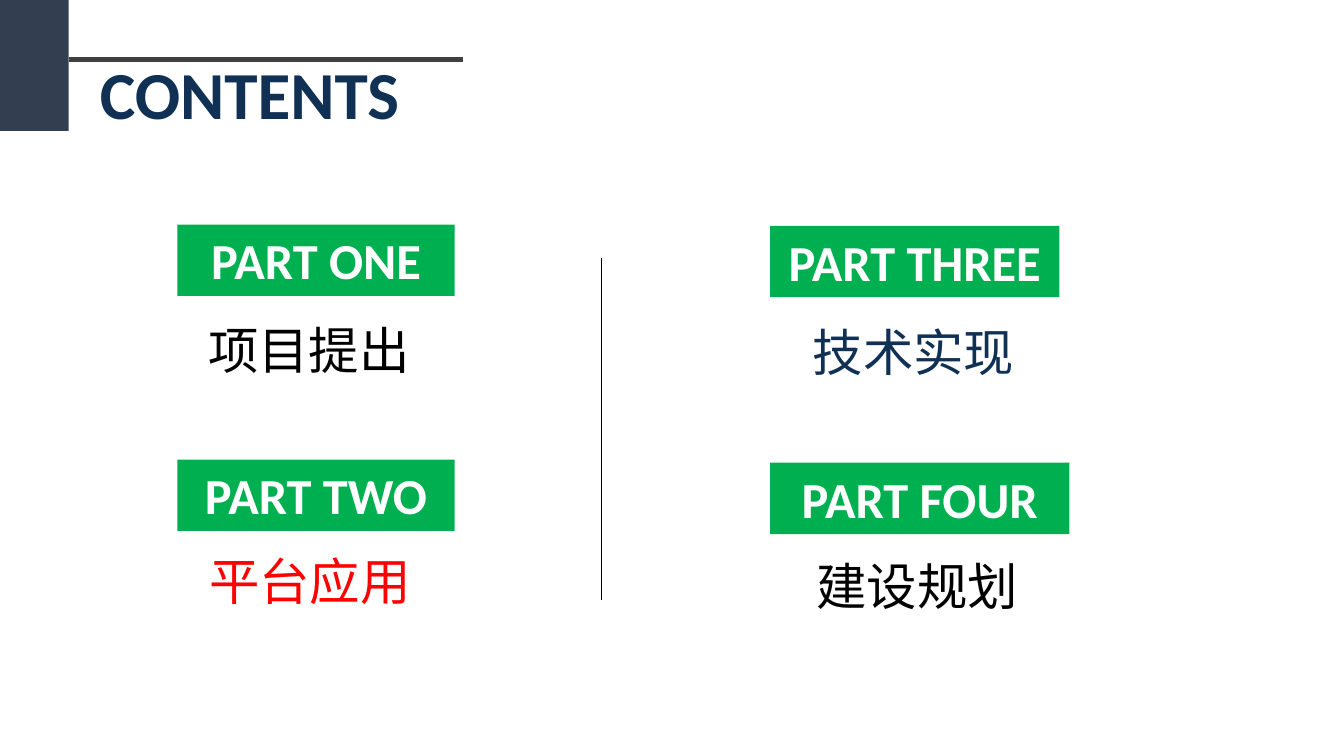
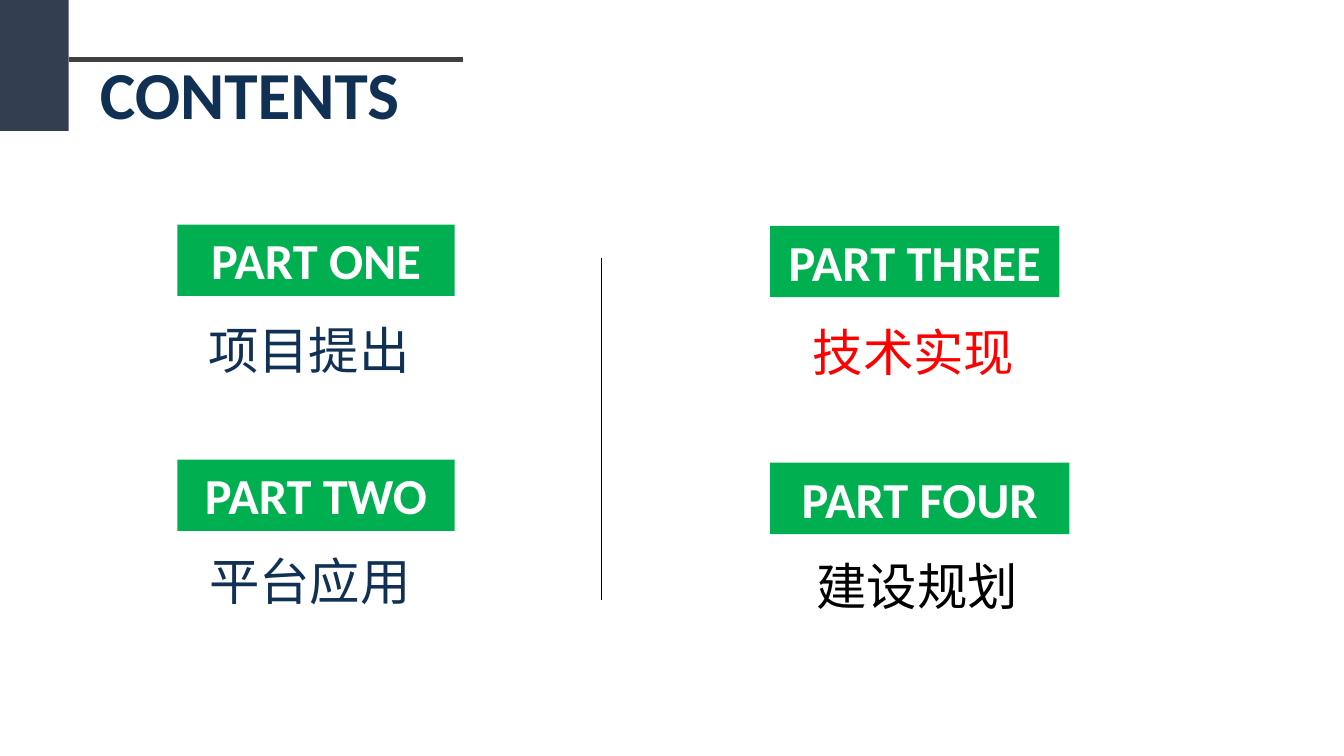
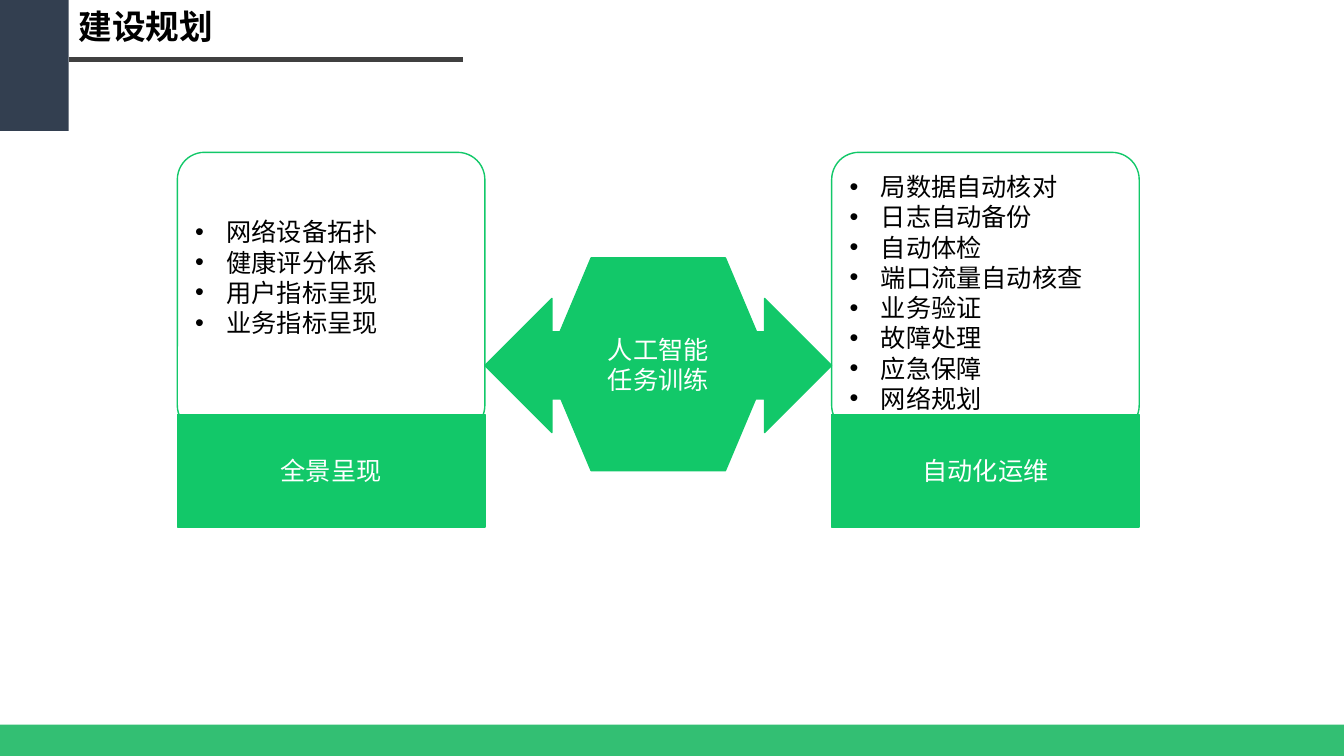
import pptx
import pptx.dml.color
import pptx.enum.shapes
import pptx.enum.text
import pptx.oxml.ns
import pptx.util
from lxml import etree

Cm = pptx.util.Cm
Pt = pptx.util.Pt
RGBColor = pptx.dml.color.RGBColor
SHAPE = pptx.enum.shapes.MSO_SHAPE
STRAIGHT = pptx.enum.shapes.MSO_CONNECTOR.STRAIGHT
ALIGN = pptx.enum.text.PP_ALIGN
ANCHOR = pptx.enum.text.MSO_ANCHOR
AUTO_SIZE = pptx.enum.text.MSO_AUTO_SIZE
qn = pptx.oxml.ns.qn

COLORS = {
    "navy": "103154", "slate": "333F50", "rule": "404040", "badge": "00B050",
    "green": "12C869", "red": "FF0000", "black": "000000", "white": "FFFFFF",
}
LATIN = "Calibri"
CHINESE = "Noto Sans CJK SC"
SLIDE_WIDTH, SLIDE_HEIGHT = 33.87, 19.05
CORNER_WIDTH = 1.73
RULE_TOP = 1.5


def add_run(paragraph, text, size, color, bold=False, font=LATIN):
    run = paragraph.add_run()
    run.text = text
    run.font.name = font
    run.font.size = Pt(size)
    run.font.bold = bold
    run.font.color.rgb = RGBColor.from_string(COLORS[color])
    east_asian = etree.SubElement(run.font._element, qn("a:ea"))
    east_asian.set("typeface", CHINESE)


def add_box(slide, kind, box, fill=None, line=None):
    """Add a preset shape without shadow; box is left, top, width, height in cm."""
    shape = slide.shapes.add_shape(kind, *map(Cm, box))
    shape.shadow.inherit = False
    if fill:
        shape.fill.solid()
        shape.fill.fore_color.rgb = RGBColor.from_string(COLORS[fill])
    else:
        shape.fill.background()
    if line:
        shape.line.color.rgb = RGBColor.from_string(COLORS[line])
        shape.line.width = Pt(1)
    else:
        shape.line.fill.background()
    return shape


presentation = pptx.Presentation()
presentation.slide_width = Cm(SLIDE_WIDTH)
presentation.slide_height = Cm(SLIDE_HEIGHT)

# Frame of every slide: title, corner block and rules
rule = ((CORNER_WIDTH, RULE_TOP), (11.68, RULE_TOP), "rule", 3)
divider = ((15.16, 6.5), (15.16, 15.11), "black", 1)
contents_title = ("CONTENTS", (2.26, 1.19, 9, 2.31), 48, "navy", LATIN)
plan_title = ("建设规划", (CORNER_WIDTH, 0.03, 7.92, 1.27), 24, "black", CHINESE)

for title_text, title_box, size, color, font in (contents_title, contents_title, plan_title):
    slide = presentation.slides.add_slide(presentation.slide_layouts[5])
    title = slide.shapes.title
    title.left, title.top, title.width, title.height = map(Cm, title_box)
    title.text_frame.auto_size = AUTO_SIZE.NONE
    title.text_frame.word_wrap = True
    title.text_frame.vertical_anchor = ANCHOR.TOP
    paragraph = title.text_frame.paragraphs[0]
    paragraph.alignment = ALIGN.LEFT
    add_run(paragraph, title_text, size, color, True, font)

    add_box(slide, SHAPE.RECTANGLE, (0, 0, CORNER_WIDTH, 3.3), "slate")
    lines = (rule,) if title_text == "建设规划" else (rule, divider)
    for start, end, color, width in lines:
        connector = slide.shapes.add_connector(STRAIGHT, *map(Cm, start + end))
        connector.line.color.rgb = RGBColor.from_string(COLORS[color])
        connector.line.width = Pt(width)
        etree.SubElement(connector._element.spPr, qn("a:effectLst"))

# Slides 1 and 2: the four parts, the current one in red
parts = (
    ("PART ONE", (4.47, 5.66, 6.99, 1.8), "项目提出", (4.19, 7.47, 7.19, 2.06)),
    ("PART TWO", (4.47, 11.58, 6.99, 1.8), "平台应用", (4.19, 13.28, 7.24, 2.06)),
    ("PART THREE", (19.41, 5.69, 7.29, 1.8), "技术实现", (19.35, 7.52, 7.34, 2.06)),
    ("PART FOUR", (19.41, 11.66, 7.54, 1.8), "建设规划", (19.35, 13.41, 7.54, 2.06)),
)
caption_colors = (
    ("black", "red", "navy", "black"),
    ("navy", "navy", "red", "black"),
)
for slide, colors in zip(presentation.slides, caption_colors):
    for (part, badge_box, caption, caption_box), color in zip(parts, colors):
        badge = add_box(slide, SHAPE.RECTANGLE, badge_box, "badge")
        badge.text_frame.word_wrap = True
        badge.text_frame.vertical_anchor = ANCHOR.TOP
        badge.text_frame.auto_size = AUTO_SIZE.SHAPE_TO_FIT_TEXT
        paragraph = badge.text_frame.paragraphs[0]
        paragraph.alignment = ALIGN.CENTER
        add_run(paragraph, part, 36, "white", True)

        text_box = slide.shapes.add_textbox(*map(Cm, caption_box))
        text_box.text_frame.word_wrap = True
        text_box.text_frame.auto_size = AUTO_SIZE.SHAPE_TO_FIT_TEXT
        paragraph = text_box.text_frame.paragraphs[0]
        paragraph.alignment = ALIGN.CENTER
        paragraph.line_spacing = 1.3
        add_run(paragraph, caption, 36, color, font=CHINESE)

# Slide 3: two cards linked by the training hub
slide = presentation.slides[2]
footer = add_box(slide, SHAPE.RECTANGLE, (0, 18.26, SLIDE_WIDTH, 0.79), "badge")
footer_color = footer._element.spPr.find(qn("a:solidFill"))[0]
etree.SubElement(footer_color, qn("a:alpha")).set("val", "80000")

add_box(slide, SHAPE.LEFT_RIGHT_ARROW, (12.22, 7.52, 8.74, 3.38), "green", "green")

CARD_WIDTH = 7.75
cards = (
    (4.47, "全景呈现", 0.9,
     ("网络设备拓扑", "健康评分体系", "用户指标呈现", "业务指标呈现")),
    (20.96, "自动化运维", 0.13,
     ("局数据自动核对", "日志自动备份", "自动体检", "端口流量自动核查",
      "业务验证", "故障处理", "应急保障", "网络规划")),
)
labels = [(SHAPE.FLOWCHART_PREPARATION, (13.77, 6.5, 5.64, 5.36), ("人工智能", "任务训练"))]
for left, label, bottom_margin, items in cards:
    card = add_box(slide, SHAPE.ROUNDED_RECTANGLE, (left, 3.84, CARD_WIDTH, 7.06), line="green")
    card.adjustments[0] = 0.097
    frame = card.text_frame
    frame.word_wrap = True
    frame.vertical_anchor = ANCHOR.MIDDLE
    frame.margin_bottom = Cm(bottom_margin)
    for index, item in enumerate(items):
        paragraph = frame.add_paragraph() if index else frame.paragraphs[0]
        paragraph.alignment = ALIGN.LEFT
        properties = paragraph._element.get_or_add_pPr()
        properties.set("marL", str(Cm(0.79)))
        properties.set("indent", str(-Cm(0.79)))
        etree.SubElement(properties, qn("a:buFont")).set("typeface", "Arial")
        etree.SubElement(properties, qn("a:buChar")).set("char", "•")
        add_run(paragraph, item, 18, "black")
    labels.append((SHAPE.RECTANGLE, (left, 10.44, CARD_WIDTH, 2.84), (label,)))

for kind, box, texts in labels:
    shape = add_box(slide, kind, box, "green", "green")
    frame = shape.text_frame
    frame.word_wrap = True
    frame.vertical_anchor = ANCHOR.MIDDLE
    for index, text in enumerate(texts):
        paragraph = frame.add_paragraph() if index else frame.paragraphs[0]
        paragraph.alignment = ALIGN.CENTER
        add_run(paragraph, text, 18, "white")

presentation.save("out.pptx")
